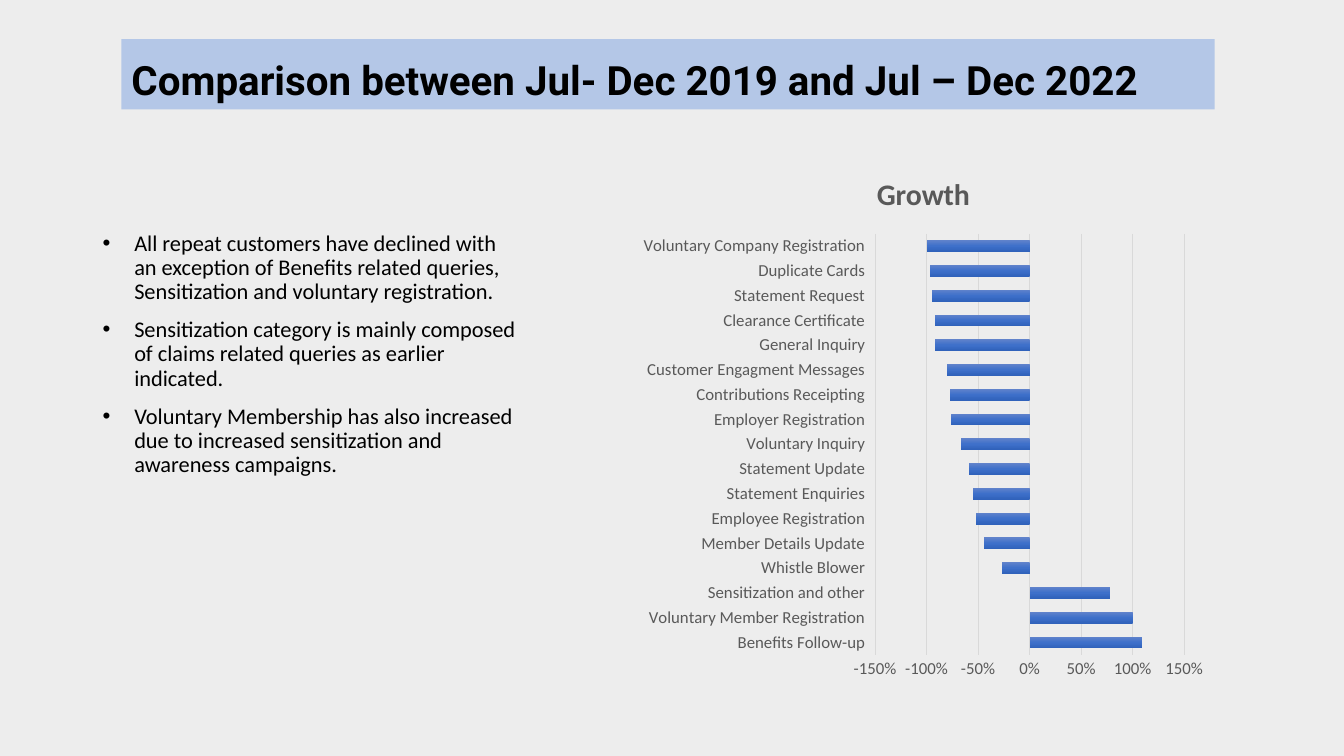
from copy import deepcopy
from dataclasses import dataclass

from pptx import Presentation
from pptx.chart.data import CategoryChartData
from pptx.dml.color import RGBColor
from pptx.enum.chart import XL_CHART_TYPE, XL_TICK_LABEL_POSITION, XL_TICK_MARK
from pptx.enum.text import MSO_ANCHOR, MSO_AUTO_SIZE, PP_ALIGN
from pptx.util import Pt

BAR = XL_CHART_TYPE.BAR_CLUSTERED
LOW = XL_TICK_LABEL_POSITION.LOW
NONE = XL_TICK_MARK.NONE
TOP, BOTTOM = MSO_ANCHOR.TOP, MSO_ANCHOR.BOTTOM
LEFT = PP_ALIGN.LEFT
FIXED = MSO_AUTO_SIZE.NONE

HEAD = "Comparison between Jul- Dec 2019 and Jul – Dec 2022"
NOTES = [
    "All repeat customers have declined with an exception of Benefits related queries, "
    "Sensitization and voluntary registration.",
    "Sensitization category is mainly composed of claims related queries as earlier indicated.",
    "Voluntary Membership has also increased due to increased sensitization and awareness campaigns.",
]
GROWTH = {
    "Benefits Follow-up": 1.09,
    "Voluntary Member Registration": 1,
    "Sensitization and other": 0.78,
    "Whistle Blower": -0.27,
    "Member Details Update": -0.44,
    "Employee Registration": -0.52,
    "Statement Enquiries": -0.55,
    "Statement Update": -0.59,
    "Voluntary Inquiry": -0.67,
    "Employer Registration": -0.76,
    "Contributions Receipting": -0.77,
    "Customer Engagment Messages": -0.8,
    "General Inquiry": -0.92,
    "Clearance Certificate": -0.92,
    "Statement Request": -0.95,
    "Duplicate Cards": -0.97,
    "Voluntary Company Registration": -1,
}


@dataclass
class Theme:
    """Colours, fonts and type sizes."""
    back: str = "EDEDED"
    band: str = "B4C7E7"
    ink: str = "000000"
    soft: str = "595959"
    rule: str = "D9D9D9"
    bars: tuple = ("6183CB", "3E70CA", "3062BB")
    face: str = "Calibri"
    bold: str = "Roboto"
    head: float = 28.8
    body: float = 16
    name: float = 21.3
    tick: float = 12


def rgb(code):
    """Turn a hex code into a colour."""
    return RGBColor.from_string(code)


def put(item, **form):
    """Set each format value on an item."""
    for key, value in form.items():
        setattr(item, key, value)


class Deck:
    """Holds the theme and the current slide."""

    def __init__(self, theme):
        """Open a wide deck with one slide."""
        self.theme = theme
        self.file = Presentation()
        put(self.file, slide_width=Pt(960), slide_height=Pt(540))
        self.slide = self.file.slides.add_slide(self.file.slide_layouts[1])
        self.paint(self.slide.background.fill, theme.back)

    def paint(self, fill, code):
        """Give a fill one colour."""
        fill.solid()
        fill.fore_color.rgb = rgb(code)

    def type(self, font, face, size, code, bold=False):
        """Style a font."""
        put(font, name=face, size=Pt(size), bold=bold)
        font.color.rgb = rgb(code)

    def place(self, shape, box, anchor):
        """Move a placeholder and set its frame."""
        put(shape, **dict(zip(("left", "top", "width", "height"), map(Pt, box))))
        put(shape.text_frame, word_wrap=True, auto_size=FIXED, vertical_anchor=anchor)

    def title(self, text, box):
        """Fill the title band."""
        look, shape = self.theme, self.slide.shapes.title
        self.place(shape, box, BOTTOM)
        self.paint(shape.fill, look.band)
        shape.text_frame.text = text
        para = shape.text_frame.paragraphs[0]
        put(para, alignment=LEFT, line_spacing=0.9)
        self.type(para.runs[0].font, look.bold, look.head, look.ink, True)

    def bullets(self, items, box):
        """Fill the body with a bulleted list."""
        look, shape = self.theme, self.slide.placeholders[1]
        self.place(shape, box, TOP)
        shape.text_frame.text = "\n".join(items)
        for para in shape.text_frame.paragraphs:
            put(para, line_spacing=0.9, space_before=Pt(10))
            edge = para._p.get_or_add_pPr()
            edge.set("marL", str(Pt(22.5)))
            edge.set("indent", str(-Pt(22.5)))
            self.type(para.runs[0].font, look.face, look.body, look.ink)

    def shade(self, series):
        """Blend the bars from top to bottom."""
        fill = series.format.fill
        fill.gradient()
        fill.gradient_angle = 270
        last = series._element.xpath("c:spPr/a:gradFill/a:gsLst/a:gs")[-1]
        last.addprevious(deepcopy(last))
        for stop, code, spot in zip(fill.gradient_stops, self.theme.bars, (0, 0.5, 1)):
            stop.color.rgb = rgb(code)
            stop.position = spot

    def line(self, form, width):
        """Style a chart line."""
        form.line.width = Pt(width)
        form.line.color.rgb = rgb(self.theme.rule)

    def chart(self, name, table, box):
        """Add a bar chart."""
        look, data = self.theme, CategoryChartData(number_format="0%")
        data.categories = list(table)
        data.add_series(name, list(table.values()))
        chart = self.slide.shapes.add_chart(BAR, *map(Pt, box), data).chart
        put(chart, has_legend=False, has_title=True)
        self.type(chart.font, look.face, look.tick, look.soft)
        chart.chart_title.include_in_layout = False
        frame = chart.chart_title.text_frame
        frame.text = name
        self.type(frame.paragraphs[0].runs[0].font, look.face, look.name, look.soft, True)
        plot = chart.plots[0]
        put(plot, gap_width=115, overlap=-20, vary_by_categories=False)
        plot.series[0].invert_if_negative = False
        self.shade(plot.series[0])
        cat, val = chart.category_axis, chart.value_axis
        for axis in (cat, val):
            put(axis, major_tick_mark=NONE, minor_tick_mark=NONE)
            self.type(axis.tick_labels.font, look.face, look.tick, look.soft)
        cat.tick_label_position = LOW
        self.line(cat.format, 1)
        put(val, minimum_scale=-1.5, maximum_scale=1.5, major_unit=0.5, has_major_gridlines=True)
        put(val.tick_labels, number_format="0%", number_format_is_linked=False)
        val.format.line.fill.background()
        self.line(val.major_gridlines.format, 0.75)


def main():
    """Build and save the slide."""
    deck = Deck(Theme())
    deck.title(HEAD, (86.7, 28, 781, 50.2))
    deck.bullets(NOTES, (66.2, 162, 309.6, 300.2))
    deck.chart("Growth", GROWTH, (451.4, 108.7, 416.2, 383.8))
    deck.file.save("out.pptx")


if __name__ == "__main__":
    main()
